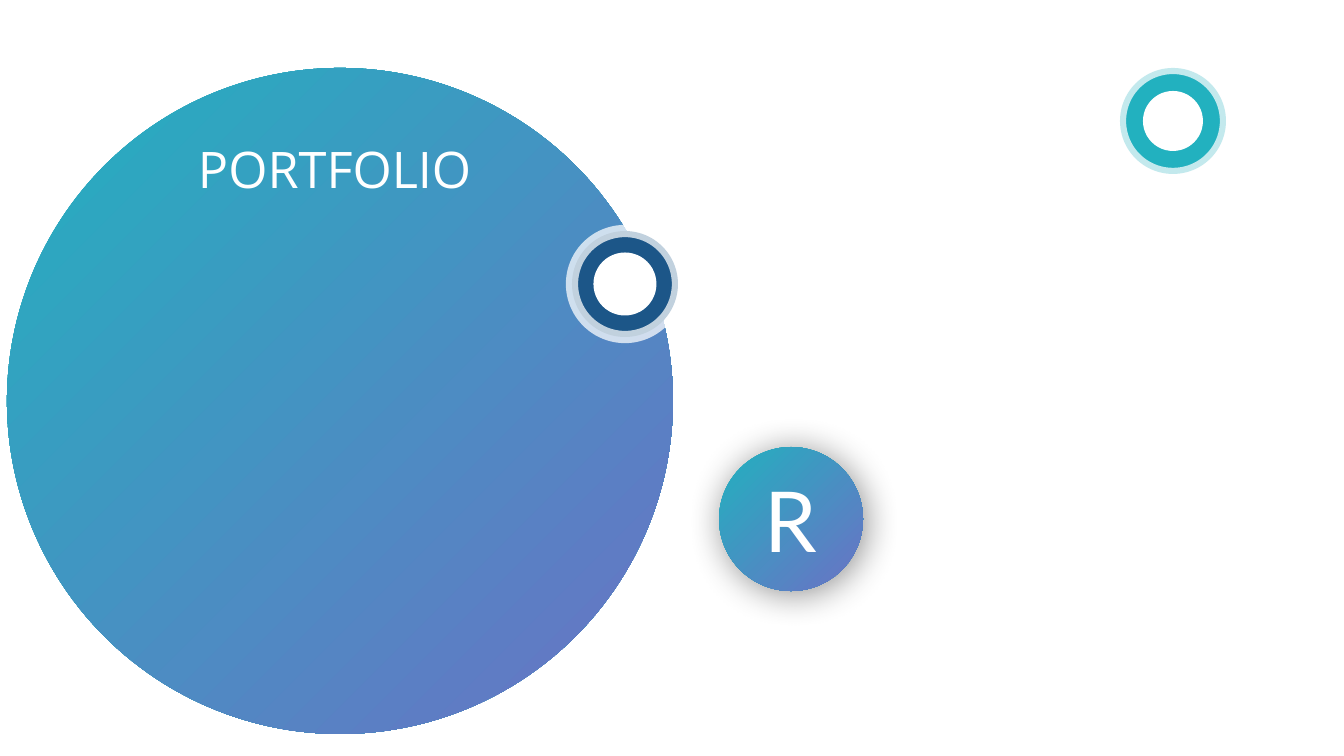
from lxml.etree import SubElement
from pptx import Presentation
from pptx.dml.color import RGBColor
from pptx.enum.shapes import MSO_SHAPE
from pptx.enum.text import MSO_ANCHOR, MSO_AUTO_SIZE, PP_ALIGN
from pptx.oxml.ns import qn
from pptx.util import Pt

TEAL = RGBColor(0x22, 0xB1, 0xBF)
VIOLET = RGBColor(0x6B, 0x71, 0xC5)
NAVY = RGBColor(0x1C, 0x56, 0x88)
WHITE = RGBColor(0xFF, 0xFF, 0xFF)

EMU_PER_PX = 914400 / 100.8
SLIDE_SIZE = (1344, 756)
TITLE = "PORTFOLIO"
TITLE_BOX = (198, 138, 283, 61)
INITIAL = "R"
LARGE_DISC = (7, 68, 666)
SMALL_DISC = (719, 447, 144)
BADGE_SIZE = 106
BADGES = [
    {"left": 1120, "top": 68, "color": TEAL, "icon": 60},
    {"left": 572, "top": 231, "color": NAVY, "icon": 63},
]
RING_WIDTH = 8.75
RING_OPACITY = 73
SHADOW = {"blurRad": Pt(26), "dist": Pt(3), "dir": 45 * 60000}
SHADOW_OPACITY = 44


def px(value):
    return round(value * EMU_PER_PX)


def add_disc(slide, left, top, size, color=None):
    disc = slide.shapes.add_shape(
        MSO_SHAPE.OVAL, px(left), px(top), px(size), px(size))
    disc.shadow.inherit = False
    disc.line.fill.background()
    if color is not None:
        disc.fill.solid()
        disc.fill.fore_color.rgb = color
    else:
        disc.fill.gradient()
        disc.fill.gradient_angle = 315
        for stop, stop_color in zip(disc.fill.gradient_stops, (TEAL, VIOLET)):
            stop.color.rgb = stop_color
    return disc


def set_opacity(color_element, percent):
    SubElement(color_element, qn("a:alpha"), val=str(percent * 1000))


def add_shadow(shape):
    effects = shape.element.spPr.find(qn("a:effectLst"))
    attributes = {name: str(int(value)) for name, value in SHADOW.items()}
    shadow = SubElement(effects, qn("a:outerShdw"), attributes,
                        algn="ctr", rotWithShape="0")
    color = SubElement(shadow, qn("a:srgbClr"), val="000000")
    set_opacity(color, SHADOW_OPACITY)


def write(shape, text, font, size, align, wrap=True):
    frame = shape.text_frame
    frame.word_wrap = wrap
    frame.vertical_anchor = MSO_ANCHOR.MIDDLE
    para = frame.paragraphs[0]
    para.alignment = align
    span = para.add_run()
    span.text = text
    span.font.name = font
    span.font.size = Pt(size)
    span.font.color.rgb = WHITE
    return frame


def add_title(slide, behind):
    title = slide.shapes.title
    title.left, title.top, title.width, title.height = map(px, TITLE_BOX)
    frame = write(title, TITLE, font="Open Sans", size=36,
                  align=PP_ALIGN.LEFT, wrap=False)
    frame.margin_left = frame.margin_right = 0
    frame.margin_top = frame.margin_bottom = 0
    frame.auto_size = MSO_AUTO_SIZE.SHAPE_TO_FIT_TEXT
    behind.element.addnext(title.element)


def add_badge(slide, left, top, color, icon):
    badge = add_disc(slide, left, top, BADGE_SIZE, color)
    badge.line.width = Pt(RING_WIDTH)
    badge.line.color.rgb = WHITE
    ring_color = badge.element.spPr.find(qn("a:ln")).find(".//" + qn("a:srgbClr"))
    set_opacity(ring_color, RING_OPACITY)
    inset = (BADGE_SIZE - icon) / 2
    add_disc(slide, left + inset, top + inset, icon, WHITE)


def main():
    deck = Presentation()
    deck.slide_width, deck.slide_height = map(px, SLIDE_SIZE)
    page = deck.slides.add_slide(deck.slide_layouts[5])
    large_disc = add_disc(page, *LARGE_DISC)
    small_disc = add_disc(page, *SMALL_DISC)
    add_shadow(small_disc)
    write(small_disc, INITIAL, font="Lato", size=60, align=PP_ALIGN.CENTER)
    add_title(page, behind=large_disc)
    for badge in BADGES:
        add_badge(page, **badge)
    deck.save("out.pptx")


if __name__ == "__main__":
    main()
